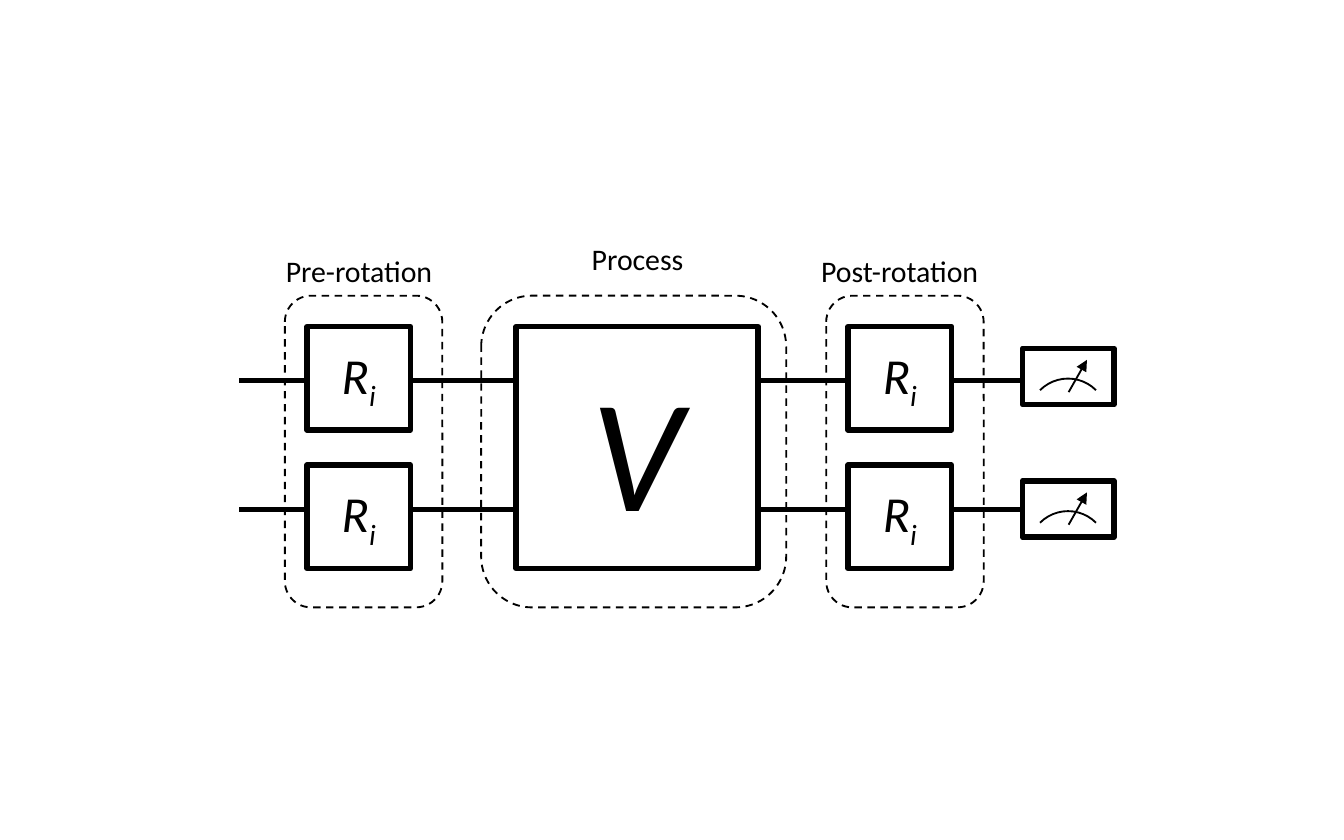
from lxml import etree
from pptx import Presentation
from pptx.dml.color import RGBColor
from pptx.enum.dml import MSO_LINE
from pptx.enum.shapes import MSO_CONNECTOR, MSO_SHAPE
from pptx.enum.text import MSO_ANCHOR, MSO_AUTO_SIZE, PP_ALIGN
from pptx.oxml.ns import qn
from pptx.util import Pt

RECT, ROUNDED, ARC = MSO_SHAPE.RECTANGLE, MSO_SHAPE.ROUNDED_RECTANGLE, MSO_SHAPE.ARC
STRAIGHT, DASH = MSO_CONNECTOR.STRAIGHT, MSO_LINE.DASH
MIDDLE, CENTER = MSO_ANCHOR.MIDDLE, PP_ALIGN.CENTER
FIT_SHAPE = MSO_AUTO_SIZE.SHAPE_TO_FIT_TEXT
BLACK, WHITE, FONT = "000000", "FFFFFF", "Calibri"
GATE = 55.4


def color(hex_text):
    """Return the colour for a hex string."""
    return RGBColor.from_string(hex_text)


def add_shape(slide, kind, x, y, w, h, weight, fill=None):
    """Add an outlined preset shape, filled only when a colour is given."""
    s = slide.shapes.add_shape(kind, Pt(x), Pt(y), Pt(w), Pt(h))
    s.shadow.inherit = False
    if fill:
        s.fill.solid()
        s.fill.fore_color.rgb = color(fill)
    else:
        s.fill.background()
    s.line.color.rgb = color(BLACK)
    s.line.width = Pt(weight)
    return s


def add_line(slide, x1, y1, x2, y2, weight, arrow=False):
    """Add a straight line, with an arrowhead at its end if asked."""
    s = slide.shapes.add_connector(STRAIGHT, Pt(x1), Pt(y1), Pt(x2), Pt(y2))
    s.line.color.rgb = color(BLACK)
    s.line.width = Pt(weight)
    if arrow:
        etree.SubElement(s.line._get_or_add_ln(), qn("a:tailEnd"), type="triangle")
    etree.SubElement(s._element.spPr, qn("a:effectLst"))


def format_run(r, size, italic=False):
    """Set the font of one run."""
    r.font.name = FONT
    r.font.size = Pt(size)
    r.font.italic = italic
    r.font.color.rgb = color(BLACK)


def add_gate(slide, x, y, side, size, name, index=None):
    """Add a square gate with an italic symbol and an optional subscript."""
    s = add_shape(slide, RECT, x, y, side, side, 3, WHITE)
    tf = s.text_frame
    tf.margin_left = tf.margin_right = Pt(5)
    tf.margin_top = tf.margin_bottom = Pt(2.5)
    tf.vertical_anchor = MIDDLE
    p = tf.paragraphs[0]
    p.text = name
    p.alignment = CENTER
    if index:
        r = p.add_run()
        r.text = index
        r._r.get_or_add_rPr().set("baseline", "-25000")
    for r in p.runs:
        format_run(r, size, italic=True)


def add_meter(slide, x, y):
    """Add a measurement box with its dial and needle."""
    add_shape(slide, RECT, x, y, 49, 30.2, 3, WHITE)
    dial = add_shape(slide, ARC, x + 3.2, y + 16.2, 42.4, 42.4, 1)
    dial.rotation = 315
    add_line(slide, x + 24.7, y + 23.5, x + 34.5, y + 6.2, 1, arrow=True)


def add_stage(slide, x, w):
    """Add the dashed frame around one stage."""
    s = add_shape(slide, ROUNDED, x, 158.4, w, 167, 1)
    s.line.dash_style = DASH


def add_label(slide, x, y, w, text):
    """Add the name of a stage."""
    tf = slide.shapes.add_textbox(Pt(x), Pt(y), Pt(w), Pt(26.6)).text_frame
    tf.word_wrap = False
    tf.auto_size = FIT_SHAPE
    tf.text = text
    p = tf.paragraphs[0]
    p.alignment = CENTER
    format_run(p.runs[0], 16)


def main():
    """Build the circuit slide."""
    prs = Presentation()
    prs.slide_width, prs.slide_height = Pt(720), Pt(450)
    slide = prs.slides.add_slide(prs.slide_layouts[6])

    for y in (203.9, 272.9):
        add_line(slide, 128.2, y, 566.6, y, 3)
    add_gate(slide, 276.6, 175, 129.6, 86.2, "V")
    for y in (186.6, 257.6):
        add_meter(slide, 547.8, y)
    for x in (164.5, 454.4):
        for y in (175, 249.2):
            add_gate(slide, x, y, GATE, 27, "R", "i")

    for x, w in ((152.6, 84.4), (257.8, 163.4), (442.6, 84.4)):
        add_stage(slide, x, w)
    add_label(slide, 145.2, 131.8, 94.3, "Pre-rotation")
    add_label(slide, 309.6, 125.2, 64, "Process")
    add_label(slide, 432, 131.8, 100, "Post-rotation")
    prs.save("out.pptx")


if __name__ == "__main__":
    main()
